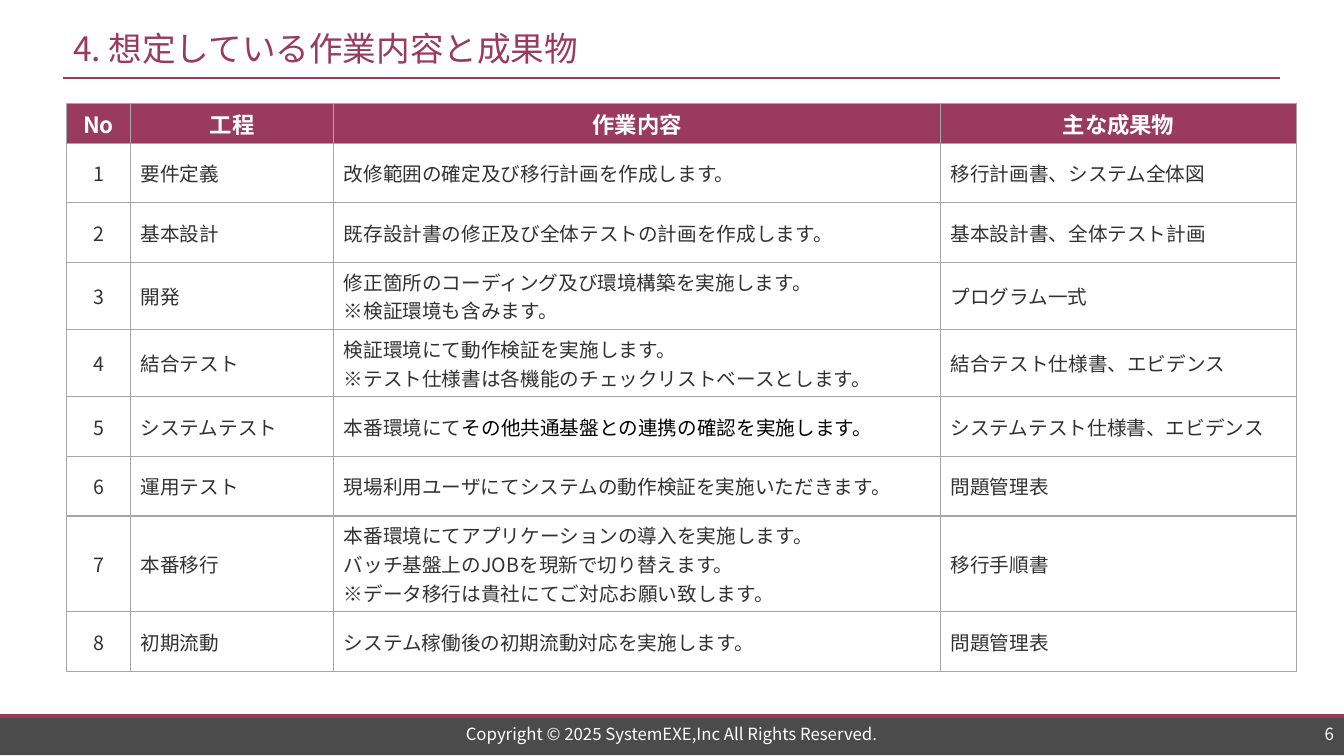
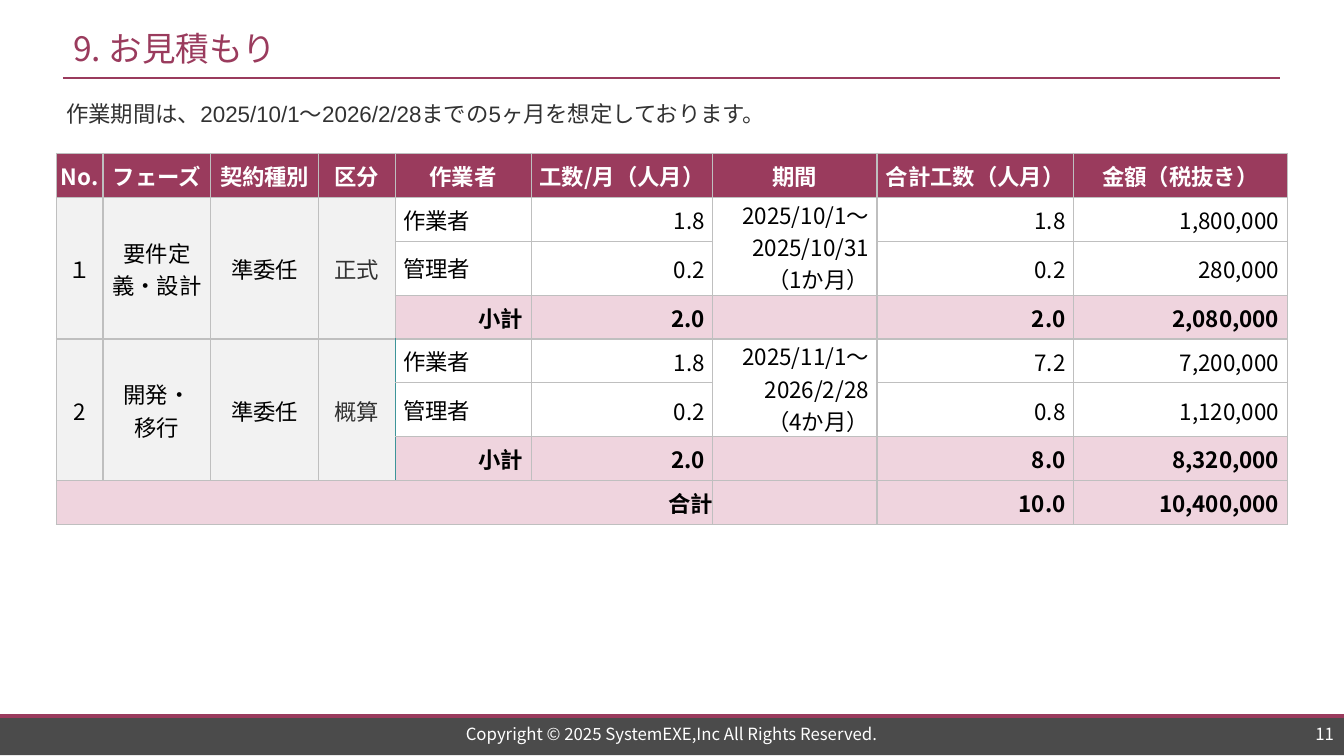
import pptx
import pptx.util
import pptx.oxml.ns
from lxml import etree
from pptx.dml.color import RGBColor
from pptx.enum.shapes import MSO_CONNECTOR, MSO_SHAPE
from pptx.enum.text import MSO_ANCHOR, MSO_AUTO_SIZE, PP_ALIGN

Pt = pptx.util.Pt
qn = pptx.oxml.ns.qn

COLORS = {
    "wine": "9A3B5D", "pink": "EFD4DE", "band": "4B4B4B", "text": "323232",
    "black": "000000", "white": "FFFFFF", "label": "F2F2F2",
    "work_grid": "A6A6A6", "cost_grid": "BFBFBF", "teal": "3D9599",
}
FONT = "Noto Sans CJK JP"
WIDTH, HEIGHT = 960, 540
ALIGN = {"l": PP_ALIGN.LEFT, "c": PP_ALIGN.CENTER, "r": PP_ALIGN.RIGHT}

COPYRIGHT = "Copyright © 2025 SystemEXE,Inc All Rights Reserved."

WORK_TITLE = "4. 想定している作業内容と成果物"
WORK_HEADER = ["No", "工程", "作業内容", "主な成果物"]
# A paragraph is a string, or a list of (text, run format) pairs.
WORK_STEPS = [
    ("要件定義", ["改修範囲の確定及び移行計画を作成します。"], "移行計画書、システム全体図"),
    ("基本設計", ["既存設計書の修正及び全体テストの計画を作成します。"], "基本設計書、全体テスト計画"),
    ("開発", ["修正箇所のコーディング及び環境構築を実施します。", "※検証環境も含みます。"],
     "プログラム一式"),
    ("結合テスト", ["検証環境にて動作検証を実施します。",
               "※テスト仕様書は各機能のチェックリストベースとします。"],
     "結合テスト仕様書、エビデンス"),
    ("システムテスト", [[("本番環境にて", {}),
                  ("その他共通基盤との連携の確認を実施します。",
                   {"font": "Calibri", "color": "black"})]],
     "システムテスト仕様書、エビデンス"),
    ("運用テスト", ["現場利用ユーザにてシステムの動作検証を実施いただきます。"], "問題管理表"),
    ("本番移行", ["本番環境にてアプリケーションの導入を実施します。",
              "バッチ基盤上のJOBを現新で切り替えます。",
              "※データ移行は貴社にてご対応お願い致します。"], "移行手順書"),
    ("初期流動", ["システム稼働後の初期流動対応を実施します。"], "問題管理表"),
]
WORK_COLS = [45.7, 145.2, 433.4, 254.4]
WORK_ROW, WORK_LINE = 42.6, 20.4

COST_TITLE = "9. お見積もり"
COST_LEAD = "作業期間は、2025/10/1～2026/2/28までの5ヶ月を想定しております。"
COST_HEADER = ["No.", "フェーズ", "契約種別", "区分", "作業者", "工数/月（人月）",
               "期間", "合計工数（人月）", "金額（税抜き）"]
COST_PHASES = [
    {"labels": ["１", "要件定義・設計", "準委任", "正式"],
     "period": ["2025/10/1～2025/10/31", "（1か月）"],
     "rows": [("作業者", "1.8", "1.8", "1,800,000"),
              ("管理者", "0.2", "0.2", "280,000"),
              ("小計", "2.0", "2.0", "2,080,000")]},
    {"labels": ["2", ["開発・", "移行"], "準委任", "概算"],
     "period": ["2025/11/1～2026/2/28", "（4か月）"],
     "rows": [("作業者", "1.8", "7.2", "7,200,000"),
              ("管理者", "0.2", "0.8", "1,120,000"),
              ("小計", "2.0", "8.0", "8,320,000")]},
]
COST_TOTAL = ("合計", "10.0", "10,400,000")
COST_COLS = [33.3, 77, 77, 54.7, 97.2, 129.6, 117.4, 140.4, 152.6]
# The second row of a phase is taller, to hold the three lines of its period.
COST_ROW, COST_PHASE_ROWS = 31.3, [31.3, 38.6, 31.3]

# Cell insets: left, top, right, bottom
TIGHT = (2.9, 2.9, 2.9, 2.9)
ROOMY = (7.2, 3.6, 7.2, 3.6)
HEAD = (0.72, 0.72, 0.72, 0)
EDGE = (0, 0.72, 0, 0)
LABEL = (5.76, 0.72, 5.76, 0)
PERSON = (5.76, 2.9, 5.76, 2.9)
NUMBER = (0.72, 0.72, 5.76, 0)


def rgb(name):
    return RGBColor.from_string(COLORS[name])


def write(tf, text, size=16, color="text", bold=False, align="l", font=FONT):
    """Fill a text frame with one paragraph, or with a list of them."""
    paragraphs = text if isinstance(text, list) else [text]
    for i, content in enumerate(paragraphs):
        p = tf.paragraphs[0] if i == 0 else tf.add_paragraph()
        p.alignment = ALIGN[align]
        runs = content if isinstance(content, list) else [(content, {})]
        for words, own in runs:
            r = p.add_run()
            r.text = words
            r.font.size = Pt(size)
            r.font.bold = bold
            r.font.color.rgb = rgb(own.get("color", color))
            r.font.name = own.get("font", font)
            east_asian = etree.SubElement(r.font._element, qn("a:ea"))
            east_asian.set("typeface", FONT)


def add_text(s, box, text, anchor=MSO_ANCHOR.MIDDLE, **style):
    tf = s.shapes.add_textbox(*map(Pt, box)).text_frame
    tf.word_wrap = True
    tf.vertical_anchor = anchor
    write(tf, text, **style)


def add_rule(s, left, right, y, width):
    line = s.shapes.add_connector(MSO_CONNECTOR.STRAIGHT, Pt(left), Pt(y), Pt(right), Pt(y))
    line.line.color.rgb = rgb("wine")
    line.line.width = Pt(width)
    etree.SubElement(line._element.spPr, qn("a:effectLst"))


def add_slide(prs, title, number):
    """Add a slide with its title, rules and footer."""
    s = prs.slides.add_slide(prs.slide_layouts[5])
    band = s.shapes.add_shape(MSO_SHAPE.RECTANGLE, 0, Pt(511.5), Pt(WIDTH), Pt(28))
    band.shadow.inherit = False
    band.fill.solid()
    band.fill.fore_color.rgb = rgb("band")
    band.line.fill.background()
    add_rule(s, 0, WIDTH, 511.5, 2.75)
    add_rule(s, 45, 914.4, 55.8, 1.5)

    sp = s.shapes.title
    sp.left, sp.top, sp.width, sp.height = map(Pt, (45, 14.4, 869.4, 39.6))
    tf = sp.text_frame
    tf.auto_size = MSO_AUTO_SIZE.NONE
    tf.word_wrap = True
    tf.vertical_anchor = MSO_ANCHOR.MIDDLE
    write(tf, title, size=24, color="wine")

    footer = {"size": 12, "color": "white"}
    add_text(s, (239, 515.5, 481.6, 17.3), COPYRIGHT, align="c", **footer)
    add_text(s, (847, 515.5, 113, 17.3), str(number), align="r", **footer)
    return s


def set_border(cell, side, color, width):
    """Set one side (L, R, T or B) of a cell."""
    tcPr = cell._tc.get_or_add_tcPr()
    ln = tcPr.find(qn("a:ln" + side))
    if ln is None:
        ln = etree.SubElement(tcPr, qn("a:ln" + side))
    for child in list(ln):
        ln.remove(child)
    ln.set("w", str(int(Pt(width))))
    fill = etree.SubElement(ln, qn("a:solidFill"))
    etree.SubElement(fill, qn("a:srgbClr")).set("val", COLORS[color])


def add_grid(s, left, top, cols, rows, border):
    """Add an unstyled table with an even grid of borders."""
    frame = s.shapes.add_table(len(rows), len(cols), Pt(left), Pt(top),
                               Pt(sum(cols)), Pt(sum(rows)))
    table = frame.table
    table.first_row = table.horz_banding = False
    for column, width in zip(table.columns, cols):
        column.width = Pt(width)
    for row, height in zip(table.rows, rows):
        row.height = Pt(height)
    for cell in table.iter_cells():
        for side in "LRTB":
            set_border(cell, side, border, 1)
        cell.fill.solid()
        cell.fill.fore_color.rgb = rgb("white")
    return table


def fill_cell(cell, text, insets, fill="white", **style):
    cell.margin_left, cell.margin_top, cell.margin_right, cell.margin_bottom = map(Pt, insets)
    cell.vertical_anchor = MSO_ANCHOR.MIDDLE
    cell.fill.fore_color.rgb = rgb(fill)
    write(cell.text_frame, text, **style)


def fill_header(table, names, insets):
    for col, name in enumerate(names):
        fill_cell(table.cell(0, col), name, insets, fill="wine",
                  color="white", bold=True, align="c")


def build_work(prs):
    s = add_slide(prs, WORK_TITLE, 6)
    padding = ROOMY[1] + ROOMY[3]
    rows = [28.6] + [max(WORK_ROW, WORK_LINE * len(tasks) + padding)
                     for _, tasks, _ in WORK_STEPS]
    table = add_grid(s, 47.5, 73.7, WORK_COLS, rows, "work_grid")
    fill_header(table, WORK_HEADER, TIGHT)
    for row, step in enumerate(WORK_STEPS, 1):
        fill_cell(table.cell(row, 0), str(row), TIGHT, size=14, align="c")
        for col, text in enumerate(step, 1):
            fill_cell(table.cell(row, col), text, ROOMY, size=14)


def build_cost(prs):
    s = add_slide(prs, COST_TITLE, 11)
    add_text(s, (40.3, 68, 598.3, 27.4), COST_LEAD, anchor=MSO_ANCHOR.TOP, font="Arial")
    rows = [COST_ROW] + COST_PHASE_ROWS * len(COST_PHASES) + [COST_ROW]
    last = len(rows) - 1
    table = add_grid(s, 40.3, 109.7, COST_COLS, rows, "cost_grid")
    fill_header(table, COST_HEADER, HEAD)

    for i, phase in enumerate(COST_PHASES):
        top = 1 + len(COST_PHASE_ROWS) * i
        for col, label in enumerate(phase["labels"]):
            cell = table.cell(top, col)
            cell.merge(table.cell(top + 2, col))
            fill_cell(cell, label, LABEL if col else EDGE, fill="label", align="c",
                      color="text" if col == 3 else "black")
        table.cell(top, 6).merge(table.cell(top + 1, 6))
        fill_cell(table.cell(top, 6), phase["period"], NUMBER, color="black", align="r")
        for row, (person, *numbers) in enumerate(phase["rows"], top):
            subtotal = row == top + 2
            style = {"fill": "pink" if subtotal else "white",
                     "bold": subtotal, "color": "black"}
            fill_cell(table.cell(row, 4), person, NUMBER if subtotal else PERSON,
                      align="r" if subtotal else "l", **style)
            for col, number in zip((5, 7, 8), numbers):
                fill_cell(table.cell(row, col), number, NUMBER, align="r", **style)
        table.cell(top + 2, 6).fill.fore_color.rgb = rgb("pink")

    table.cell(last, 0).merge(table.cell(last, 5))
    for col, text, insets in zip((0, 7, 8), COST_TOTAL, (EDGE, NUMBER, NUMBER)):
        fill_cell(table.cell(last, col), text, insets, fill="pink",
                  color="black", bold=True, align="r")
    table.cell(last, 6).fill.fore_color.rgb = rgb("pink")

    for row in range(3, last):
        set_border(table.cell(row, 4), "L", "teal", 0.5)
        if row > 3:
            set_border(table.cell(row, 3), "R", "teal", 0.5)


def main():
    prs = pptx.Presentation()
    prs.slide_width, prs.slide_height = Pt(WIDTH), Pt(HEIGHT)
    build_work(prs)
    build_cost(prs)
    prs.save("out.pptx")


if __name__ == "__main__":
    main()
